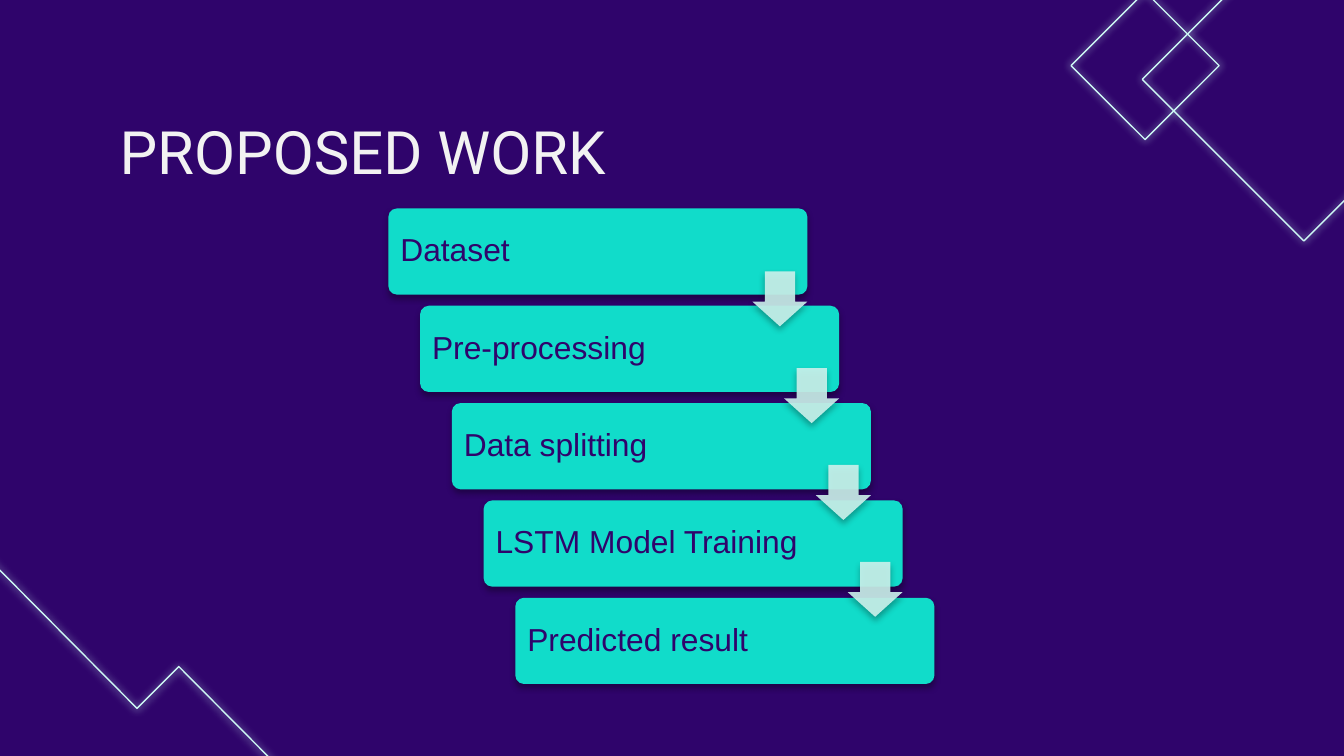
from dataclasses import dataclass

from lxml import etree
from pptx import Presentation
from pptx import util as u
from pptx.dml.color import RGBColor
from pptx.enum import shapes, text
from pptx.oxml.ns import qn

PURPLE = RGBColor(0x2F, 0x04, 0x6B)
TEAL = RGBColor(0x11, 0xDC, 0xCA)
MINT = RGBColor(0xCC, 0xF2, 0xEC)
GLOW = RGBColor(0xCD, 0xF8, 0xF4)
WHITE = RGBColor(0xF2, 0xF2, 0xF2)
BLACK = RGBColor(0, 0, 0)

STEPS = ("Dataset", "Pre-processing", "Data splitting",
         "LSTM Model Training", "Predicted result")
SQUARES = ((22.48, -0.66, 4.32), (20.65, 0.25, 1.98))
ZIGZAG = ((-1.45, 9.32), (2.59, 13.39), (3.38, 12.6), (7.82, 17.07))


@dataclass(frozen=True)
class Shadow:
    color: RGBColor
    opacity: int
    blur: float
    dist: float
    angle: int


@dataclass(frozen=True)
class Stair:
    left: float
    top: float
    width: float
    height: float
    dx: float
    dy: float

    def box(self, i: int) -> tuple:
        return (u.Cm(self.left + i * self.dx), u.Cm(self.top + i * self.dy),
                u.Cm(self.width), u.Cm(self.height))


DROP = Shadow(BLACK, 32, 3.5, 2.2, 90)
HALO = Shadow(GLOW, 100, 4.5, 0, 0)
BOXES = Stair(7.34, 3.94, 7.92, 1.63, 0.6, 1.84)
ARROWS = Stair(14.22, 5.13, 1.04, 1.04, 0.6, 1.83)


def set_alpha(clr, percent: int) -> None:
    etree.SubElement(clr, qn("a:alpha"), val=str(percent * 1000))


def add_shadow(sp, sh: Shadow) -> None:
    sp.shadow.inherit = False
    effects = sp._element.spPr.find(qn("a:effectLst"))
    outer = etree.SubElement(
        effects, qn("a:outerShdw"), blurRad=str(u.Pt(sh.blur)),
        dist=str(u.Pt(sh.dist)), dir=str(sh.angle * 60000),
        algn="ctr", rotWithShape="0")
    clr = etree.SubElement(outer, qn("a:srgbClr"), val=str(sh.color))
    set_alpha(clr, sh.opacity)


def style_outline(sp) -> None:
    sp.fill.background()
    sp.line.color.rgb = GLOW
    sp.line.width = u.Pt(0.75)
    add_shadow(sp, HALO)


def style_solid(sp, color: RGBColor) -> None:
    sp.fill.solid()
    sp.fill.fore_color.rgb = color
    sp.line.fill.background()
    add_shadow(sp, DROP)


def write(sp, words: str, font: str, size: int, color: RGBColor,
          spacing: float, inset: float, anchor) -> None:
    tf = sp.text_frame
    tf.text = words
    tf.word_wrap = True
    tf.vertical_anchor = anchor
    tf.margin_left = tf.margin_right = u.Cm(inset)
    tf.margin_top = tf.margin_bottom = u.Cm(inset)
    p = tf.paragraphs[0]
    p.alignment = text.PP_ALIGN.LEFT
    p.line_spacing = spacing
    r = p.runs[0]
    r.font.name = font
    r.font.size = u.Pt(size)
    r.font.color.rgb = color


def add_decor(s) -> None:
    for left, top, side in SQUARES:
        sp = s.shapes.add_shape(shapes.MSO_SHAPE.RECTANGLE, u.Cm(left),
                                u.Cm(top), u.Cm(side), u.Cm(side))
        sp.rotation = 135
        style_outline(sp)
    pts = [(u.Cm(x), u.Cm(y)) for x, y in ZIGZAG]
    fb = s.shapes.build_freeform(*pts[0])
    fb.add_line_segments(pts[1:], close=False)
    style_outline(fb.convert_to_shape())


def add_step(s, i: int, label: str) -> None:
    sp = s.shapes.add_shape(shapes.MSO_SHAPE.ROUNDED_RECTANGLE, *BOXES.box(i))
    sp.adjustments[0] = 0.1
    style_solid(sp, TEAL)
    write(sp, label, "Arial", 17, PURPLE, 0.9, 0.18, text.MSO_ANCHOR.MIDDLE)


def add_arrow(s, i: int) -> None:
    sp = s.shapes.add_shape(shapes.MSO_SHAPE.DOWN_ARROW, *ARROWS.box(i))
    sp.adjustments[0] = 0.55
    sp.adjustments[1] = 0.45
    style_solid(sp, MINT)
    set_alpha(sp._element.spPr.find(qn("a:solidFill"))[0], 90)


def main() -> None:
    prs = Presentation()
    prs.slide_width, prs.slide_height = u.Cm(25.4), u.Cm(14.29)
    s = prs.slides.add_slide(prs.slide_layouts[6])
    s.background.fill.solid()
    s.background.fill.fore_color.rgb = PURPLE
    add_decor(s)
    title = s.shapes.add_textbox(u.Cm(2.01), u.Cm(1.24), u.Cm(21.41), u.Cm(1.6))
    write(title, "PROPOSED WORK", "Roboto", 32, WHITE, 1.5, 0.25,
          text.MSO_ANCHOR.TOP)
    for i, label in enumerate(STEPS):
        add_step(s, i, label)
    for i in range(len(STEPS) - 1):
        add_arrow(s, i)
    prs.save("out.pptx")


if __name__ == "__main__":
    main()
